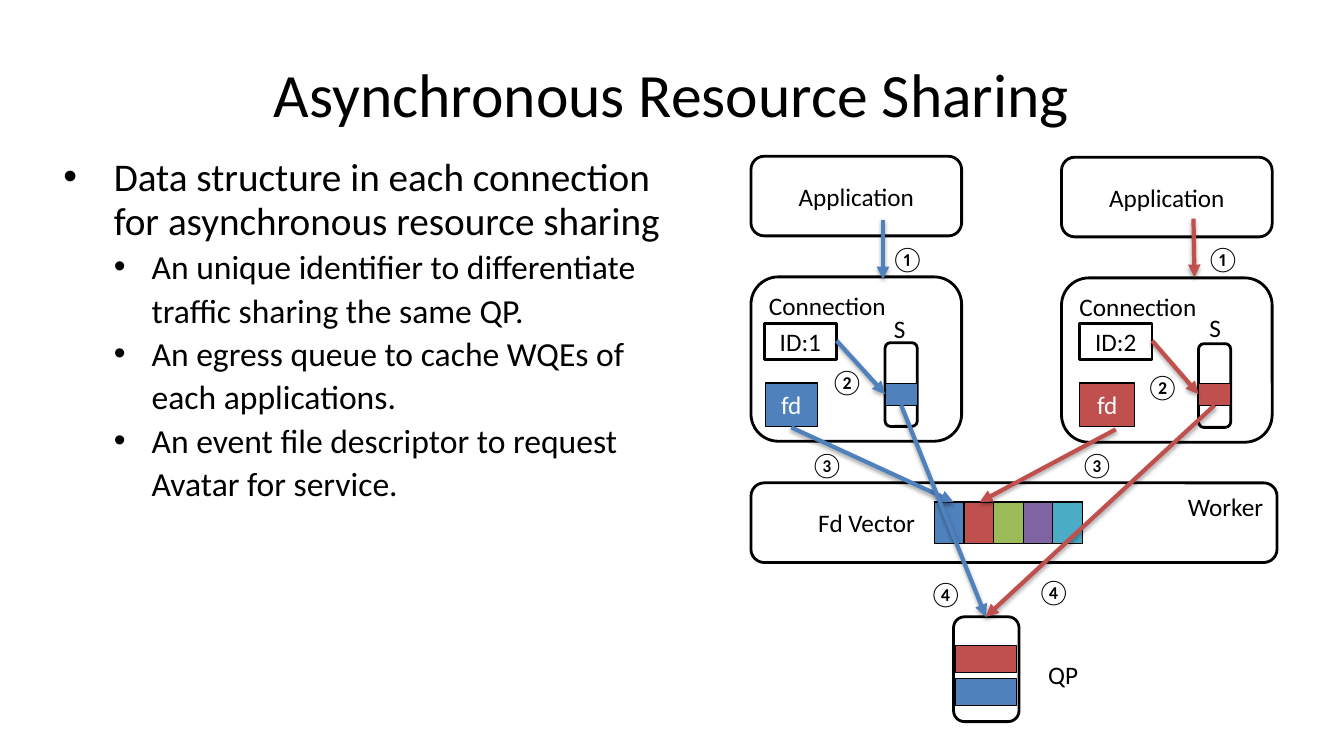
import pptx
import pptx.dml.color
import pptx.enum.shapes
import pptx.enum.text
import pptx.oxml
import pptx.oxml.ns
import pptx.util

Pt = pptx.util.Pt
SHAPES = pptx.enum.shapes.MSO_SHAPE
ALIGN = pptx.enum.text.PP_ALIGN
ANCHOR = pptx.enum.text.MSO_ANCHOR

# Content: lengths in points
FONT = "Calibri"
BLACK, WHITE = "000000", "FFFFFF"
BLUE, RED = "4F81BD", "C0504D"
TITLE = "Asynchronous Resource Sharing"
BULLETS = [
    # text, level, size, left margin, hanging indent
    ("Data structure in each connection for asynchronous resource sharing", 0, 28, 36, 36),
    ("An unique identifier to differentiate traffic sharing the same QP.", 1, 24, 63, 27),
    ("An egress queue to cache WQEs of each applications.", 1, 24, 63, 27),
    ("An event file descriptor to request Avatar for service.", 1, 24, 63, 27),
]
VECTOR_COLORS = [BLUE, RED, "9BBB59", "8064A2", "4BACC6"]
STEPS = ["①", "②", "③", "④"]
QP_TOP = (704.2, 440.6)
SIDES = [
    {
        "color": RED, "left": 758.2, "top": 112.3, "id": "ID:2", "id_left": 771.1,
        "fd": (771.1, 39.6), "queue": (856.1, 245.5), "queue_label": (856.8, 219.6),
        "arrows": [((852.5, 156.2), (853.2, 198)), ((823, 243.4), (856.1, 281.5)),
                   ((797, 306.7), (699.8, 358.6)), ((867.6, 289.4), QP_TOP)],
        "steps": [(854.6, 170.6), (811.4, 261.4), (764.6, 317.5), (733.7, 408.2)],
    },
    {
        "color": BLUE, "left": 536.4, "top": 111.6, "id": "ID:1", "id_left": 545.8,
        "fd": (546.5, 37.4), "queue": (632.2, 244.8), "queue_label": (631.4, 220.3),
        "arrows": [((630.7, 157), (630.7, 199.4)), ((597.6, 243.4), (632.2, 281.5)),
                   ((565.2, 305.3), (681.1, 358.6)), ((643.7, 289.4), QP_TOP)],
        "steps": [(629.3, 170.6), (586.1, 257.8), (571.7, 317.5), (656.6, 409.7)],
    },
]

deck = pptx.Presentation()
deck.slide_width, deck.slide_height = Pt(960), Pt(540)
page = deck.slides.add_slide(deck.slide_layouts[6])


def rgb(value):
    return pptx.dml.color.RGBColor.from_string(value)


def xml(text):
    return pptx.oxml.parse_xml(text.replace(">", f" {pptx.oxml.ns.nsdecls('a')}>", 1)
                               if not text.split(">")[0].endswith("/")
                               else text.replace("/>", f" {pptx.oxml.ns.nsdecls('a')}/>", 1))


def style(para, size, color, align):
    para.alignment = align
    for span in para.runs:
        span.font.name, span.font.size = FONT, Pt(size)
        span.font.color.rgb = rgb(color)


def add_box(kind, left, top, width, height, fill=WHITE, line=2, text="",
            color=BLACK, align=ALIGN.CENTER, anchor=ANCHOR.MIDDLE):
    box = page.shapes.add_shape(kind, Pt(left), Pt(top), Pt(width), Pt(height))
    box.shadow.inherit = False
    box.fill.solid()
    box.fill.fore_color.rgb = rgb(fill)
    if line:
        box.line.width = Pt(line)
        box.line.color.rgb = rgb(BLACK)
    else:
        box.line.fill.background()
    box.text_frame.vertical_anchor = anchor
    if text:
        box.text_frame.text = text
        style(box.text_frame.paragraphs[0], 18, color, align)
    return box


def add_label(text, left, top, width, height=28.8, size=18, align=ALIGN.LEFT, wrap=False):
    box = page.shapes.add_textbox(Pt(left), Pt(top), Pt(width), Pt(height))
    frame = box.text_frame
    frame.word_wrap = wrap
    frame.vertical_anchor = ANCHOR.MIDDLE if wrap else ANCHOR.TOP
    frame.text = text
    style(frame.paragraphs[0], size, BLACK, align)


def add_arrow(start, end, color):
    arrow = page.shapes.add_connector(
        pptx.enum.shapes.MSO_CONNECTOR.STRAIGHT, *[Pt(value) for value in start + end])
    arrow.line.width = Pt(3)
    arrow.line.color.rgb = rgb(color)
    properties = arrow.element.spPr
    properties.find(pptx.oxml.ns.qn("a:ln")).append(xml('<a:tailEnd type="triangle"/>'))
    properties.append(xml(
        f'<a:effectLst><a:outerShdw blurRad="{Pt(3.1)}" dist="{Pt(1.8)}" dir="5400000" '
        'rotWithShape="0"><a:srgbClr val="000000"><a:alpha val="35000"/></a:srgbClr>'
        '</a:outerShdw></a:effectLst>'))


# Title and bullets
add_label(TITLE, 48, 21.6, 864, 90, 44, ALIGN.CENTER, wrap=True)
panel = add_box(SHAPES.RECTANGLE, 38.2, 108, 442.1, 407.5, line=0, anchor=ANCHOR.TOP)
panel.text_frame.text = "\n".join(bullet[0] for bullet in BULLETS)
for para, (_, level, size, margin, hang) in zip(panel.text_frame.paragraphs, BULLETS):
    style(para, size, BLACK, ALIGN.LEFT)
    para.level = level
    para.line_spacing = Pt(31)
    para.space_before = para.space_after = Pt(0)
    settings = para._p.get_or_add_pPr()
    settings.set("marL", str(Pt(margin)))
    settings.set("indent", str(-Pt(hang)))
    settings.append(xml('<a:buFont typeface="Arial"/>'))
    settings.append(xml('<a:buChar char="•"/>'))

# Worker with its vector of file descriptors
ROUNDED = SHAPES.ROUNDED_RECTANGLE
add_box(ROUNDED, 536.4, 344.9, 375.8, 56.9, text="Worker", align=ALIGN.RIGHT, anchor=ANCHOR.TOP)
add_label("Fd Vector", 577.4, 358.6, 84.2)
vector = page.shapes.add_table(1, len(VECTOR_COLORS), Pt(667.4), Pt(358.6),
                               Pt(105.8), Pt(29.5)).table
vector.first_row = vector.horz_banding = False
for cell, color in zip(vector.rows[0].cells, VECTOR_COLORS):
    cell.margin_top = cell.margin_bottom = Pt(0)
    cell.text_frame.paragraphs[0].font.size = Pt(18)
    for edge in ("lnL", "lnR", "lnT", "lnB"):
        cell._tc.get_or_add_tcPr().append(xml(
            f'<a:{edge} w="{Pt(1)}"><a:solidFill><a:srgbClr val="{BLACK}"/>'
            f'</a:solidFill></a:{edge}>'))
    cell.fill.solid()
    cell.fill.fore_color.rgb = rgb(color)

# Shared queue pair
add_box(ROUNDED, 681.1, 440.6, 46.8, 74.9)
for top, color in ((460.8, RED), (484.6, BLUE)):
    add_box(SHAPES.RECTANGLE, 682.6, top, 43.2, 19.4, color, 0.75)
add_label("QP", 741.6, 467.3, 36)

# Applications and their connections
for side in SIDES:
    color, left, top = side["color"], side["left"], side["top"]
    queue_left, queue_top = side["queue"]
    fd_left, fd_width = side["fd"]
    add_box(ROUNDED, left, top, 150.5, 56.9, text="Application")
    add_box(ROUNDED, left, top + 86.2, 150.5, 117.4, text="Connection",
            align=ALIGN.LEFT, anchor=ANCHOR.TOP)
    add_box(ROUNDED, queue_left, queue_top, 23, 59.8)
    add_box(SHAPES.RECTANGLE, queue_left, 273.6, 23, 15.8, color, 0.75)
    add_box(SHAPES.RECTANGLE, fd_left, 273.6, fd_width, 31, color, 0.75, "fd", WHITE)
    add_box(SHAPES.RECTANGLE, side["id_left"], 231.1, 51.8, 25.9, text=side["id"])
    add_label("S", *side["queue_label"], 23)

# Numbered steps, above everything else
for side in reversed(SIDES):
    for step, place, (start, end) in zip(STEPS, side["steps"], side["arrows"]):
        add_arrow(start, end, side["color"])
        add_label(step, *place, 32.4)

deck.save("out.pptx")
